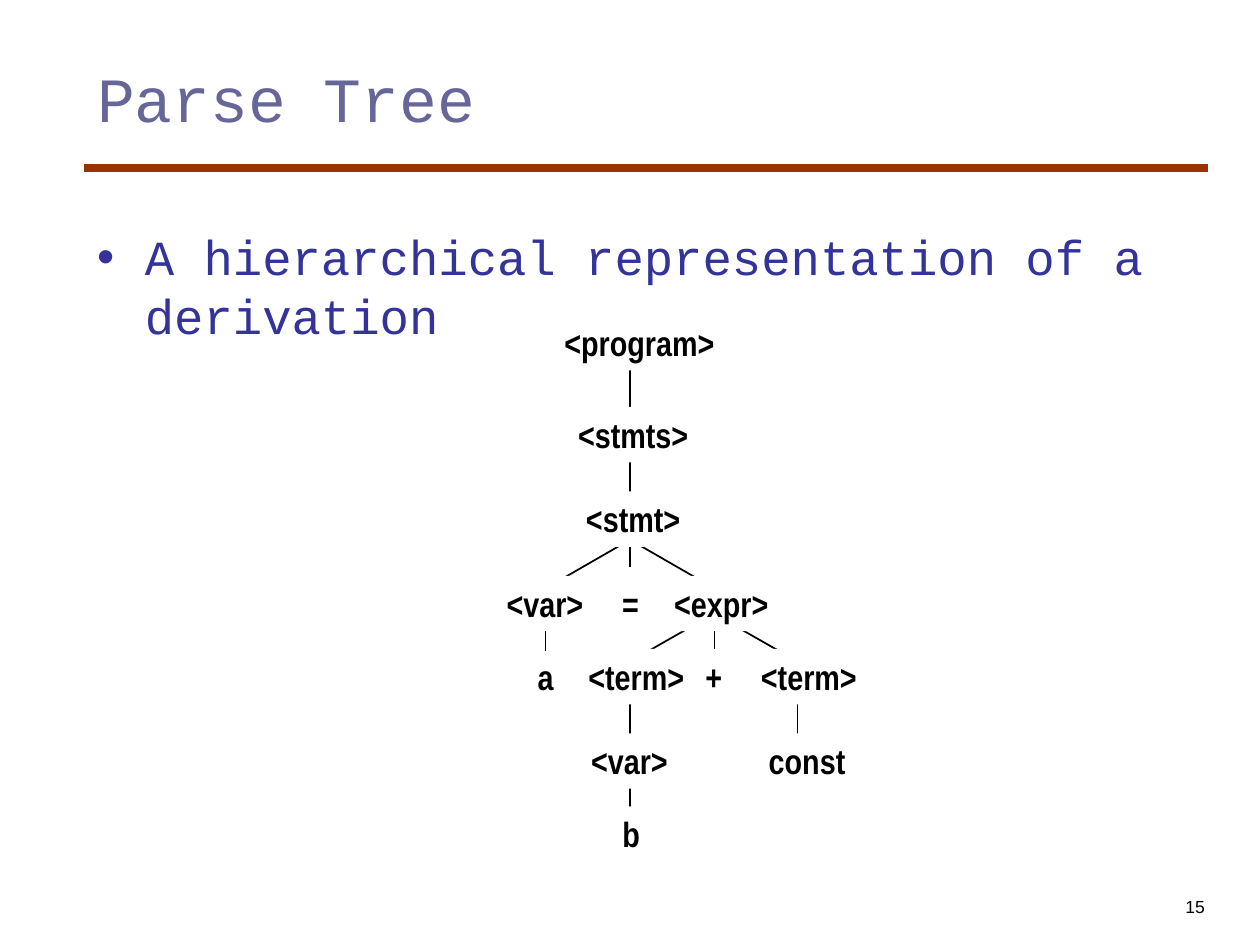
from lxml import etree
from pptx import Presentation
from pptx.dml.color import RGBColor
from pptx.enum.shapes import MSO_CONNECTOR, MSO_SHAPE
from pptx.enum.text import MSO_ANCHOR, MSO_AUTO_SIZE, PP_ALIGN
from pptx.oxml.ns import qn
from pptx.util import Inches, Pt

LINE = MSO_CONNECTOR.STRAIGHT
RECT = MSO_SHAPE.RECTANGLE
TOP, BOTTOM = MSO_ANCHOR.TOP, MSO_ANCHOR.BOTTOM
LEFT, RIGHT, CENTER = PP_ALIGN.LEFT, PP_ALIGN.RIGHT, PP_ALIGN.CENTER
FIT, FIXED = MSO_AUTO_SIZE.SHAPE_TO_FIT_TEXT, MSO_AUTO_SIZE.NONE

HUES = {"ink": "000000", "paper": "FFFFFF", "title": "666699",
        "body": "333399", "rule": "993300"}

ROWS = [2.5, 3.23, 3.9, 4.57, 5.15, 5.82, 6.4]
HIGH = 0.44
NODES = [
    ("<program>", 4.38, 0, 1.39), ("<stmts>", 4.49, 1, 1.07),
    ("<stmt>", 4.55, 2, 0.95), ("<var>", 3.92, 3, 0.81),
    ("=", 4.84, 3, 0.33), ("<expr>", 5.25, 3, 0.95),
    ("a", 4.17, 4, 0.32), ("<term>", 4.57, 4, 0.96),
    ("+", 5.5, 4, 0.33), ("<term>", 5.94, 4, 0.96),
    ("<var>", 4.59, 5, 0.81), ("const", 6, 5, 0.81),
    ("b", 4.84, 6, 0.34),
]
CLEAR = {"=", "a"}
EDGES = [
    (5, 2.75, 5, 4.5), (4.33, 4.67, 4.92, 4.33), (5.08, 4.33, 5.67, 4.67),
    (4.33, 4.67, 4.33, 5.17), (5, 5.25, 5.58, 4.92),
    (5.67, 4.67, 5.67, 5.25), (5.75, 4.92, 6.33, 5.25),
    (5, 5.33, 5, 6.67), (6.33, 5.33, 6.33, 6.08),
]


def tint(name):
    return RGBColor.from_string(HUES[name])


def place(shape, box):
    shape.left, shape.top, shape.width, shape.height = map(Inches, box)


def write(shape, text, face, size, hue, bold=False, align=LEFT,
          anchor=TOP, side=0.1, wrap=True, fit=FIXED):
    frame = shape.text_frame
    frame.word_wrap = wrap
    frame.auto_size = fit
    frame.vertical_anchor = anchor
    frame.margin_left = frame.margin_right = Inches(side)
    frame.margin_top = frame.margin_bottom = Inches(0.05)
    para = frame.paragraphs[0]
    para.alignment = align
    para.space_before = Pt(0)
    run = para.add_run()
    run.text = text
    font = run.font
    font.name, font.size, font.bold = face, Pt(size), bold
    font.color.rgb = tint(hue)


def stroke(slide, ends, hue, width):
    line = slide.shapes.add_connector(LINE, *map(Inches, ends))
    line.line.color.rgb = tint(hue)
    line.line.width = Pt(width)
    etree.SubElement(line._element.spPr, qn("a:effectLst"))


def bullet(para, hue):
    props = para._p.get_or_add_pPr()
    props.set("marL", str(Inches(0.38)))
    props.set("indent", str(-Inches(0.38)))
    color = etree.SubElement(props, qn("a:buClr"))
    etree.SubElement(color, qn("a:srgbClr"), val=HUES[hue])
    etree.SubElement(props, qn("a:buFont"), typeface="Arial")
    etree.SubElement(props, qn("a:buChar"), char="•")


def header(slide, box):
    left, top, width, high = box
    rule = top + 0.91
    stroke(slide, (left, rule, left + width, rule), "rule", 4.5)
    title = slide.shapes.title
    place(title, box)
    write(title, "Parse Tree", "Courier New", 36, "title")


def content(slide, box):
    body = slide.placeholders[1]
    place(body, box)
    write(body, "A hierarchical representation of a derivation",
          "Courier New", 28, "body")
    bullet(body.text_frame.paragraphs[0], "body")


def node(slide, text, box):
    shape = slide.shapes.add_shape(RECT, *map(Inches, box))
    shape.shadow.inherit = False
    shape.line.fill.background()
    if text in CLEAR:
        shape.fill.background()
    else:
        shape.fill.solid()
        shape.fill.fore_color.rgb = tint("paper")
    write(shape, text, "Arial Narrow", 20, "ink", bold=True,
          align=CENTER, side=0.05, wrap=False, fit=FIT)


def tree(slide, box):
    left, top = box[:2]
    for x1, y1, x2, y2 in EDGES:
        ends = (left + x1, top + y1, left + x2, top + y2)
        stroke(slide, ends, "ink", 1)
    for text, x, row, width in NODES:
        node(slide, text, (left + x, top + ROWS[row], width, HIGH))


def number(slide, box):
    shape = slide.shapes.add_textbox(*map(Inches, box))
    write(shape, "15", "Arial", 10, "ink", align=RIGHT, anchor=BOTTOM)


def main():
    deck = Presentation()
    deck.slide_width, deck.slide_height = Inches(10), Inches(7.5)
    slide = deck.slides.add_slide(deck.slide_layouts[1])
    header(slide, (0.67, 0.42, 8.92, 1.25))
    content(slide, (0.67, 1.75, 8.92, 5))
    tree(slide, (0, 0, 10, 7.5))
    number(slide, (7.58, 6.83, 2.08, 0.5))
    deck.save("out.pptx")


if __name__ == "__main__":
    main()
